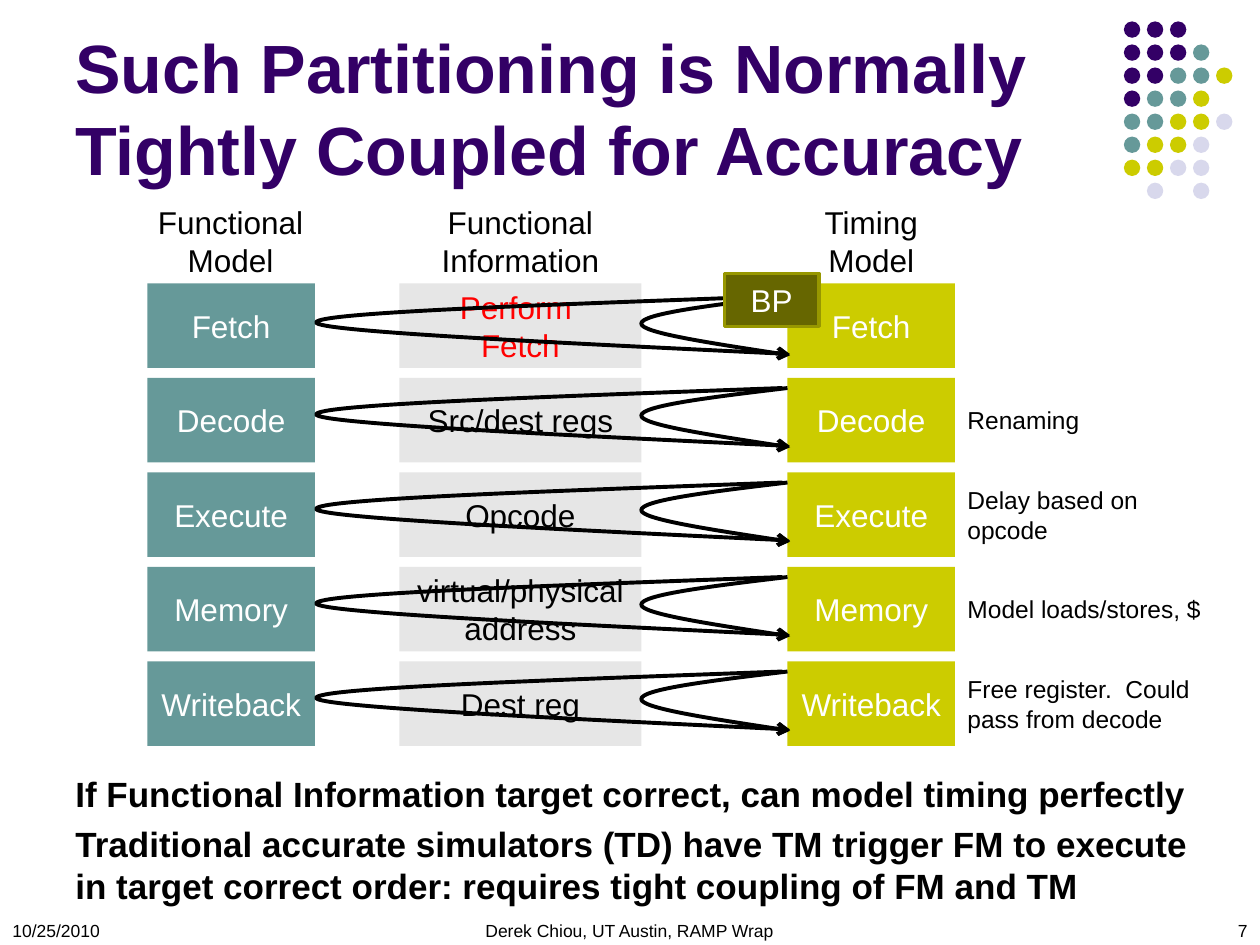
import pptx
import pptx.dml.color
import pptx.enum.shapes
import pptx.enum.text
import pptx.oxml
import pptx.oxml.ns
import pptx.util

Inches = pptx.util.Inches
Pt = pptx.util.Pt
Align = pptx.enum.text.PP_ALIGN
Anchor = pptx.enum.text.MSO_ANCHOR
Shape = pptx.enum.shapes.MSO_SHAPE
qn = pptx.oxml.ns.qn

PURPLE, TEAL, LIME, LILAC = "330066", "669999", "CCCC00", "D8D8EC"
BLACK, WHITE, RED, GREY = "000000", "FFFFFF", "FF0000", "E6E6E6"


def colour(code):
    return pptx.dml.color.RGBColor.from_string(code)


class SlideBuilder:
    """Holds the style and the current slide."""

    font = "Arial"
    curve_width = 2.25

    def __init__(self, slide):
        self.slide = slide

    def fill_text(self, shape, lines, size, code, align, anchor, bold=False, wrap=True):
        frame = shape.text_frame
        frame.word_wrap = wrap
        frame.vertical_anchor = anchor
        for index, line in enumerate(lines):
            para = frame.paragraphs[0] if index == 0 else frame.add_paragraph()
            para.alignment = align
            span = para.add_run()
            span.text = line
            span.font.name = self.font
            span.font.size = Pt(size)
            span.font.bold = bold
            span.font.color.rgb = colour(code)

    def text(self, place, lines, size=18, code=BLACK, align=Align.LEFT,
             anchor=Anchor.MIDDLE, bold=False, wrap=True):
        box = self.slide.shapes.add_textbox(*map(Inches, place))
        self.fill_text(box, lines, size, code, align, anchor, bold, wrap)
        if not wrap:
            box.text_frame.auto_size = pptx.enum.text.MSO_AUTO_SIZE.SHAPE_TO_FIT_TEXT

    def shape(self, kind, place, fill, edge=None):
        shape = self.slide.shapes.add_shape(kind, *map(Inches, place))
        shape.shadow.inherit = False
        shape.fill.solid()
        shape.fill.fore_color.rgb = colour(fill)
        if edge:
            shape.line.color.rgb = colour(edge)
            shape.line.width = Pt(2)
        else:
            shape.line.fill.background()
        return shape

    def block(self, place, lines, fill, code=WHITE, edge=None):
        box = self.shape(Shape.RECTANGLE, place, fill, edge)
        self.fill_text(box, lines, 18, code, Align.CENTER, Anchor.MIDDLE)

    def curve(self, top, points):
        """Draw a Bezier arrow from a start point and triples of control points."""
        start, *rest = [(Inches(x), Inches(top + y)) for x, y in points]
        builder = self.slide.shapes.build_freeform(*start)
        builder.add_line_segments(rest, close=False)
        shape = builder.convert_to_shape()
        shape.shadow.inherit = False
        shape.fill.background()
        shape.line.color.rgb = colour(BLACK)
        shape.line.width = Pt(self.curve_width)
        # Join each three straight segments into one cubic curve
        segments = list(shape._element.iter(qn("a:lnTo")))
        for first in range(0, len(segments), 3):
            head, *others = segments[first:first + 3]
            cubic = pptx.oxml.parse_xml(
                f"<a:cubicBezTo {pptx.oxml.ns.nsdecls('a')}/>")
            head.addprevious(cubic)
            for segment in (head, *others):
                cubic.append(segment[0])
                segment.getparent().remove(segment)
        line = shape._element.spPr.find(qn("a:ln"))
        line.append(pptx.oxml.parse_xml(
            f"<a:tailEnd {pptx.oxml.ns.nsdecls('a')} type='arrow'/>"))


DOTS = ["PPP", "PPPT", "PPTTL", "PTTL", "TTLLV", "TLLV", "LLVV", " V V"]
DOT_COLOURS = {"P": PURPLE, "T": TEAL, "L": LIME, "V": LILAC}
DOT_PITCH = 1.28 / 7

STAGES = ["Fetch", "Decode", "Execute", "Memory", "Writeback"]
INFORMATION = [["Perform ", "Fetch"], ["Src/dest regs"], ["Opcode"],
               ["virtual/physical address"], ["Dest reg"]]
NOTES = [None, "Renaming", "Delay based on opcode", "Model loads/stores, $",
         "Free register.  Could pass from decode"]
ROW_TOPS = [2.25 + 0.75 * row for row in range(len(STAGES))]
CURVE_TOPS = [2.35] + [top + 0.08 for top in ROW_TOPS[1:]]
ROW_HEIGHT = 0.67

INFORMATION_CURVE = [(6.25, 0), (5.67, 0.07), (5.08, 0.14), (5.09, 0.22),
                     (5.09, 0.29), (5.68, 0.38), (6.27, 0.47)]
FUNCTIONAL_CURVE = [(6.21, 0), (4.35, 0.07), (2.5, 0.13), (2.51, 0.21),
                    (2.52, 0.28), (4.4, 0.37), (6.27, 0.46)]


def main():
    deck = pptx.Presentation()
    deck.slide_width, deck.slide_height = Inches(10), Inches(7.5)
    page = SlideBuilder(deck.slides.add_slide(deck.slide_layouts[6]))

    # Corner dots
    for row, marks in enumerate(DOTS):
        for column, mark in enumerate(marks):
            if mark in DOT_COLOURS:
                place = (8.92 + column * DOT_PITCH, 0.17 + row * DOT_PITCH, 0.13, 0.13)
                page.shape(Shape.OVAL, place, DOT_COLOURS[mark])

    # Title and footer
    page.text((0.5, 0.13, 8.25, 1.42),
              ["Such Partitioning is Normally Tightly Coupled for Accuracy"],
              39, PURPLE, anchor=Anchor.BOTTOM, bold=True)
    for left, width, words, align in [
            (0, 1.08, "10/25/2010", Align.LEFT),
            (3.33, 3.33, "Derek Chiou, UT Austin, RAMP Wrap", Align.CENTER),
            (9.08, 0.92, "7", Align.RIGHT)]:
        page.text((left, 7.25, width, 0.25), [words], 10, align=align, anchor=Anchor.TOP)

    # Column headings
    for left, width, lines in [(1.08, 1.5, ["Functional", "Model"]),
                               (3.17, 1.92, ["Functional Information"]),
                               (6.25, 1.33, ["Timing", "Model"])]:
        page.text((left, 1.58, width, ROW_HEIGHT), lines, align=Align.CENTER)

    # Pipeline stages, one row each
    for top, curve_top, stage, information, note in zip(
            ROW_TOPS, CURVE_TOPS, STAGES, INFORMATION, NOTES):
        page.block((1.17, top, 1.33, ROW_HEIGHT), [stage], TEAL)
        page.block((3.17, top, 1.92, ROW_HEIGHT), information, GREY,
                   RED if stage == "Fetch" else BLACK)
        page.block((6.25, top, 1.33, ROW_HEIGHT), [stage], LIME)
        if note:
            page.text((7.58, top, 2.17, ROW_HEIGHT), [note], 14)
        page.curve(curve_top, INFORMATION_CURVE)
        page.curve(curve_top, FUNCTIONAL_CURVE)

    # Branch predictor
    page.block((5.75, 2.17, 0.75, 0.42), ["BP"], "666600", edge="979700")

    # Conclusions
    for place, lines in [
            ((0.5, 6.08, 9.07, 0.44),
             ["If Functional Information target correct, can model timing perfectly"]),
            ((0.5, 6.48, 9.17, 0.77),
             ["Traditional accurate simulators (TD) have TM trigger FM to execute",
              "in target correct order: requires tight coupling of FM and TM"])]:
        page.text(place, lines, 20, anchor=Anchor.TOP, bold=True, wrap=False)

    deck.save("out.pptx")


if __name__ == "__main__":
    main()
